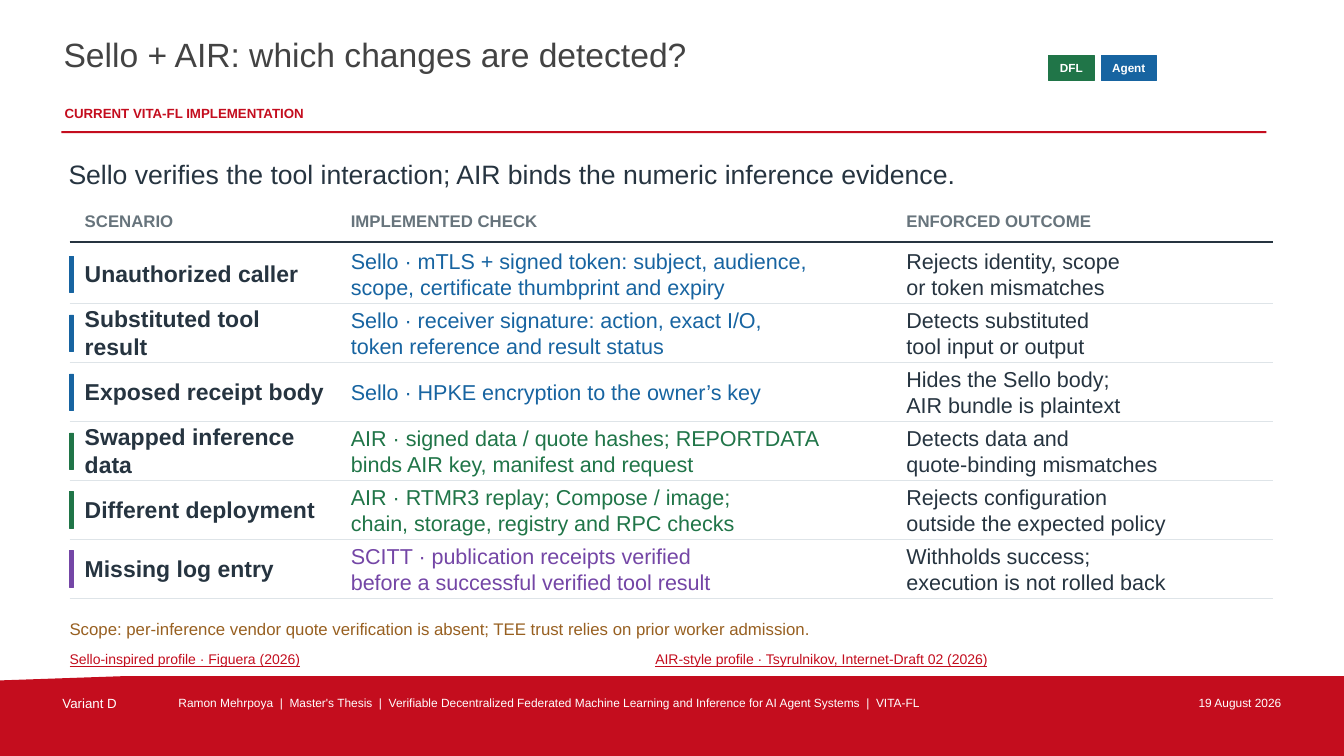
import pptx
import pptx.dml.color
import pptx.enum.shapes
import pptx.enum.text
import pptx.oxml.ns
import pptx.util
from lxml import etree

Inches = pptx.util.Inches
Pt = pptx.util.Pt
RGBColor = pptx.dml.color.RGBColor
ALIGN = pptx.enum.text.PP_ALIGN
ANCHOR = pptx.enum.text.MSO_ANCHOR

RED = RGBColor(0xC4, 0x0D, 0x1E)
LINK_RED = RGBColor(0xC3, 0x0D, 0x1E)
WHITE = RGBColor(0xFF, 0xFF, 0xFF)
CHARCOAL = RGBColor(0x43, 0x43, 0x43)
INK = RGBColor(0x26, 0x34, 0x40)
GREY = RGBColor(0x67, 0x74, 0x7C)
PALE = RGBColor(0xDE, 0xE4, 0xE8)
BLUE = RGBColor(0x17, 0x64, 0xA1)
GREEN = RGBColor(0x20, 0x75, 0x48)
PURPLE = RGBColor(0x74, 0x46, 0xA6)
BROWN = RGBColor(0x98, 0x60, 0x21)

TABLE_LEFT, TABLE_RIGHT = 0.69, 12.63
FIRST_ROW, ROW_PITCH, CELL_HEIGHT = 2.43, 0.585, 0.57
COLUMNS = [  # left, width, heading
    (0.84, 2.42, "SCENARIO"),
    (3.48, 5.18, "IMPLEMENTED CHECK"),
    (8.99, 3.44, "ENFORCED OUTCOME"),
]
ROWS = [
    (BLUE, "Unauthorized caller",
     "Sello · mTLS + signed token: subject, audience,\nscope, certificate thumbprint and expiry",
     "Rejects identity, scope\nor token mismatches"),
    (BLUE, "Substituted tool result",
     "Sello · receiver signature: action, exact I/O,\ntoken reference and result status",
     "Detects substituted\ntool input or output"),
    (BLUE, "Exposed receipt body",
     "Sello · HPKE encryption to the owner’s key",
     "Hides the Sello body;\nAIR bundle is plaintext"),
    (GREEN, "Swapped inference data",
     "AIR · signed data / quote hashes; REPORTDATA\nbinds AIR key, manifest and request",
     "Detects data and\nquote-binding mismatches"),
    (GREEN, "Different deployment",
     "AIR · RTMR3 replay; Compose / image;\nchain, storage, registry and RPC checks",
     "Rejects configuration\noutside the expected policy"),
    (PURPLE, "Missing log entry",
     "SCITT · publication receipts verified\nbefore a successful verified tool result",
     "Withholds success;\nexecution is not rolled back"),
]


class Painter:
    font = "Arial"

    def __init__(self, page):
        self.page = page

    def text(self, left, top, width, height, words, size, color, bold=False,
             underline=None, align=ALIGN.LEFT, anchor=ANCHOR.MIDDLE, inset=0):
        box = self.page.shapes.add_textbox(
            Inches(left), Inches(top), Inches(width), Inches(height))
        frame = box.text_frame
        frame.word_wrap = True
        frame.auto_size = pptx.enum.text.MSO_AUTO_SIZE.SHAPE_TO_FIT_TEXT
        frame.vertical_anchor = anchor
        frame.margin_left = frame.margin_right = Inches(inset)
        frame.margin_top = frame.margin_bottom = Inches(inset)
        para = frame.paragraphs[0]
        para.alignment = align
        for number, line in enumerate(words.split("\n")):
            if number:
                para.add_line_break()
            span = para.add_run()
            span.text = line
            span.font.name = self.font
            span.font.size = Pt(size)
            span.font.bold = bold
            span.font.underline = underline
            span.font.color.rgb = color

    def frame_text(self, left, top, width, height, words, size, color, **style):
        """Add top-anchored text for the header and footer."""
        self.text(left, top, width, height, words, size, color,
                  anchor=ANCHOR.TOP, inset=0.02, **style)

    def paint(self, shape, color, border):
        shape.shadow.inherit = False
        shape.fill.solid()
        shape.fill.fore_color.rgb = color
        if border:
            shape.line.color.rgb = color
            shape.line.width = Pt(border)
        else:
            shape.line.fill.background()

    def rectangle(self, left, top, width, height, color, border=0.5):
        shape = self.page.shapes.add_shape(
            pptx.enum.shapes.MSO_SHAPE.RECTANGLE,
            Inches(left), Inches(top), Inches(width), Inches(height))
        self.paint(shape, color, border)

    def polygon(self, points, color):
        corners = [(Inches(x), Inches(y)) for x, y in points]
        builder = self.page.shapes.build_freeform(*corners[0], scale=1.0)
        builder.add_line_segments(corners[1:], close=True)
        self.paint(builder.convert_to_shape(), color, None)

    def table_rule(self, y, color, weight):
        rule = self.page.shapes.add_connector(
            pptx.enum.shapes.MSO_CONNECTOR.STRAIGHT,
            Inches(TABLE_LEFT), Inches(y), Inches(TABLE_RIGHT), Inches(y))
        rule.line.color.rgb = color
        rule.line.width = Pt(weight)
        etree.SubElement(rule._element.spPr, pptx.oxml.ns.qn("a:effectLst"))

    def badge(self, left, width, label, color):
        self.rectangle(left, 0.55, width, 0.25, color, border=0.55)
        self.text(left, 0.55, width, 0.25, label, 8.4, WHITE, bold=True,
                  align=ALIGN.CENTER)


def draw_frame(painter):
    """Draw the title, the badges and the footer band."""
    painter.polygon([(0, 6.75), (13.34, 6.29), (13.33, 7.5), (0, 7.5)], RED)
    painter.frame_text(0.61, 0.32, 9.65, 0.62,
                       "Sello + AIR: which changes are detected?", 24, CHARCOAL)
    painter.frame_text(0.62, 1.02, 9.7, 0.22,
                       "CURRENT VITA-FL IMPLEMENTATION", 9.5, RED, bold=True)
    painter.rectangle(0.61, 1.3, 11.95, 0.02, RED, border=None)
    painter.frame_text(0.6, 6.88, 1.1, 0.22, "Variant D", 9.5, WHITE)
    painter.frame_text(
        1.75, 6.88, 9.35, 0.22,
        "Ramon Mehrpoya  |  Master's Thesis  |  Verifiable Decentralized Federated "
        "Machine Learning and Inference for AI Agent Systems  |  VITA-FL", 8.5, WHITE)
    painter.frame_text(11.2, 6.88, 1.53, 0.22, "19 August 2026", 8.5, WHITE,
                       align=ALIGN.RIGHT)
    painter.rectangle(0, 6.27, 13.33, 0.43, WHITE)
    painter.rectangle(10.37, 0.52, 1.13, 0.32, WHITE)
    painter.badge(10.4, 0.45, "DFL", GREEN)
    painter.badge(10.92, 0.55, "Agent", BLUE)


def draw_checks(painter):
    """Draw the ruled grid of scenarios, checks and outcomes."""
    for left, width, heading in COLUMNS:
        painter.text(left, 2.05, width, 0.29, heading, 12, GREY, bold=True)
    painter.table_rule(2.4, INK, 1.3)
    for index, (accent, *cells) in enumerate(ROWS):
        top = FIRST_ROW + index * ROW_PITCH
        painter.rectangle(TABLE_LEFT, top + 0.11, 0.04, 0.36, accent)
        styles = [(16.4, INK, True), (15.4, accent, False), (15.4, INK, False)]
        for (left, width, _), words, style in zip(COLUMNS, cells, styles):
            painter.text(left, top, width, CELL_HEIGHT, words, *style)
        painter.table_rule(top + ROW_PITCH, PALE, 0.65)


def main():
    deck = pptx.Presentation()
    deck.slide_width, deck.slide_height = Inches(13.33), Inches(7.5)
    painter = Painter(deck.slides.add_slide(deck.slide_layouts[6]))
    draw_frame(painter)
    painter.text(
        0.68, 1.47, 11.96, 0.51,
        "Sello verifies the tool interaction; AIR binds the numeric inference evidence.",
        19, INK)
    draw_checks(painter)
    painter.text(
        TABLE_LEFT, 6.09, 11.96, 0.29,
        "Scope: per-inference vendor quote verification is absent; "
        "TEE trust relies on prior worker admission.", 12, BROWN)
    painter.text(TABLE_LEFT, 6.43, 5.7, 0.22,
                 "Sello-inspired profile · Figuera (2026)", 10, LINK_RED, underline=True)
    painter.text(6.5, 6.43, 6.1, 0.22,
                 "AIR-style profile · Tsyrulnikov, Internet-Draft 02 (2026)",
                 10, LINK_RED, underline=True)
    deck.save("out.pptx")


if __name__ == "__main__":
    main()
